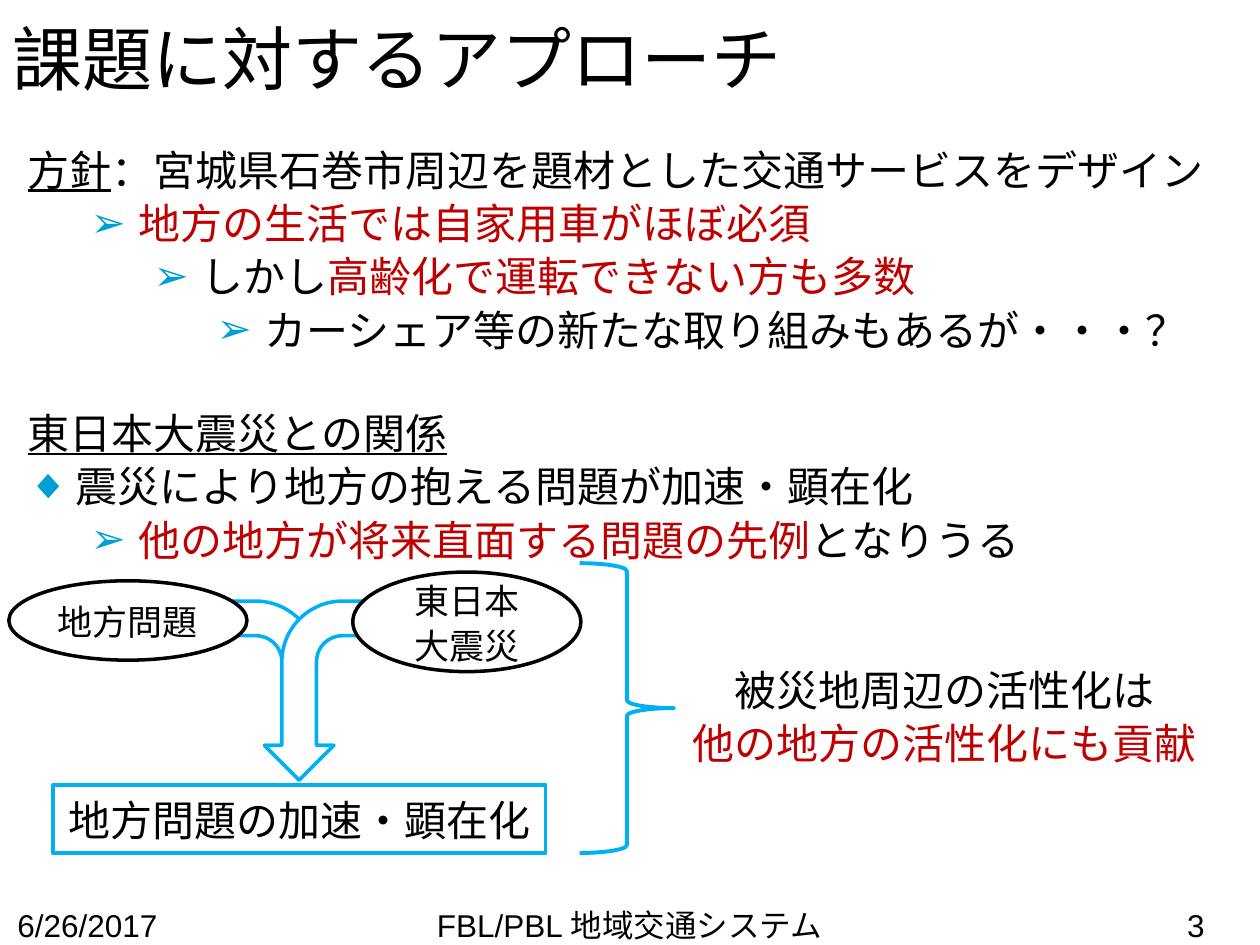
from lxml import etree
from pptx import Presentation
from pptx.dml.color import RGBColor
from pptx.enum.shapes import MSO_SHAPE as SHAPE
from pptx.enum.text import MSO_ANCHOR as ANCHOR, PP_ALIGN as ALIGN
from pptx.oxml.ns import qn
from pptx.util import Inches, Pt

COLORS = {"black": "000000", "white": "FFFFFF", "red": "C00000",
          "bullet": "009ED6", "blue": "00B0F0"}
FONT, CJK_FONT = "Arial", "Noto Sans CJK JP"
BODY_SIZE = 24


def rgb(name):
    return RGBColor.from_string(COLORS[name])


def add_run(p, text, size=BODY_SIZE, font=FONT, color="black", underline=False):
    """Add formatted text; a newline becomes a line break."""
    for i, line in enumerate(text.split("\n")):
        if i:
            p.add_line_break()
        r = p.add_run()
        r.text = line
        r.font.size, r.font.name = Pt(size), font
        r.font.color.rgb = rgb(color)
        if underline:
            r.font.underline = True
        # Same typeface for Japanese characters
        etree.SubElement(r.font._element, qn("a:ea")).set("typeface", FONT)


def set_bullet(p, char, level):
    pPr = p._p.get_or_add_pPr()
    pPr.set("marL", str(Inches(0.38 + 0.5 * level)))
    pPr.set("indent", str(-Inches(0.38)))
    color = etree.SubElement(pPr, qn("a:buClr"))
    etree.SubElement(color, qn("a:srgbClr")).set("val", COLORS["bullet"])
    etree.SubElement(pPr, qn("a:buFont")).set("typeface", FONT)
    etree.SubElement(pPr, qn("a:buChar")).set("char", char)


class SlideBuilder:
    """Holds the shared style and the current slide."""
    line_spacing = 1.06

    def __init__(self, slide):
        self.slide = slide

    def fill_text(self, sp, paragraphs, align=ALIGN.LEFT, anchor=ANCHOR.TOP, **style):
        """Each paragraph is (bullet, level, [(text, format), ...])."""
        tf = sp.text_frame
        tf.word_wrap = True
        tf.vertical_anchor = anchor
        for i, (bullet, level, runs) in enumerate(paragraphs):
            p = tf.add_paragraph() if i else tf.paragraphs[0]
            p.alignment, p.level = align, level
            p.line_spacing = self.line_spacing
            if bullet:
                set_bullet(p, bullet, level)
            for text, extra in runs:
                add_run(p, text, **{**style, **extra})

    def text(self, box, paragraphs, **style):
        sp = self.slide.shapes.add_textbox(*map(Inches, box))
        self.fill_text(sp, paragraphs, **style)

    def label(self, box, text, **style):
        self.text(box, [(None, 0, [(text, {})])], anchor=ANCHOR.MIDDLE, **style)

    def shape(self, kind, box, line="blue", width=2.25, fill="white", text=None, **style):
        sp = self.slide.shapes.add_shape(kind, *map(Inches, box))
        sp.shadow.inherit = False
        sp.line.color.rgb, sp.line.width = rgb(line), Pt(width)
        if fill:
            sp.fill.solid()
            sp.fill.fore_color.rgb = rgb(fill)
        else:
            sp.fill.background()
        if text:
            self.fill_text(sp, [(None, 0, [(text, {})])], align=ALIGN.CENTER, **style)
        return sp

    def bent_arrow(self, left, rotation, flips, fill):
        sp = self.shape(SHAPE.BENT_ARROW, (left, 4.93, 1.42, 1.1), width=2, fill=fill)
        sp.rotation = rotation
        for flip in flips:
            sp.element.spPr.get_or_add_xfrm().set(flip, "1")

    def ellipse(self, box, text):
        self.shape(SHAPE.OVAL, box, line="black", width=2, text=text,
                   size=20, font=CJK_FONT, anchor=ANCHOR.MIDDLE)


def main():
    prs = Presentation()
    prs.slide_width, prs.slide_height = Inches(10), Inches(7.5)
    s = SlideBuilder(prs.slides.add_slide(prs.slide_layouts[6]))
    red, underlined = {"color": "red"}, {"underline": True}

    # Footer and title
    for left, width, text, align in [
            (0.04, 2.33, "6/26/2017", ALIGN.LEFT),
            (1.69, 6.61, "FBL/PBL 地域交通システム", ALIGN.CENTER),
            (7.33, 2.33, "3", ALIGN.RIGHT)]:
        s.label((left, 7.13, width, 0.4), text, align=align, size=18)
    s.label((0, -0.03, 10, 0.94), "課題に対するアプローチ", size=40)

    # Policy
    s.text((0.12, 1.07, 9.88, 1.72), [
        (None, 0, [("方針", underlined),
                   ("：宮城県石巻市周辺を題材とした交通サービスをデザイン", {})]),
        ("➢", 1, [("地方の生活では自家用車がほぼ必須", red)]),
        ("➢", 2, [("しかし", {}), ("高齢化で運転できない方も多数", red)]),
        ("➢", 3, [("カーシェア等の新たな取り組みもあるが・・・？", {})])])

    # Relation to the earthquake
    s.text((0.12, 3.16, 9.55, 1.31), [
        (None, 0, [("東日本大震災との関係", underlined)]),
        ("◆", 0, [("震災により地方の抱える問題が加速・顕在化", {})]),
        ("➢", 1, [("他の地方が将来直面する問題の先例", red), ("となりうる", {})])])

    # Two causes merging into one problem
    s.bent_arrow(1.39, 270, ("flipH", "flipV"), fill=None)
    s.bent_arrow(1.94, 90, ("flipV",), fill="white")
    s.ellipse((0.07, 4.61, 1.89, 0.63), "地方問題")
    s.ellipse((2.8, 4.54, 1.81, 0.79), "東日本\n大震災")
    s.shape(SHAPE.RECTANGLE, (0.42, 6.23, 3.91, 0.54), text="地方問題の加速・顕在化")

    # Conclusion
    s.shape(SHAPE.RIGHT_BRACE, (4.6, 4.47, 0.75, 2.3), fill=None)
    s.text((5.33, 5.2, 4.33, 0.91),
           [(None, 0, [("被災地周辺の活性化は\n", {}), ("他の地方の活性化にも貢献", red)])],
           align=ALIGN.CENTER)

    prs.save("out.pptx")


if __name__ == "__main__":
    main()
